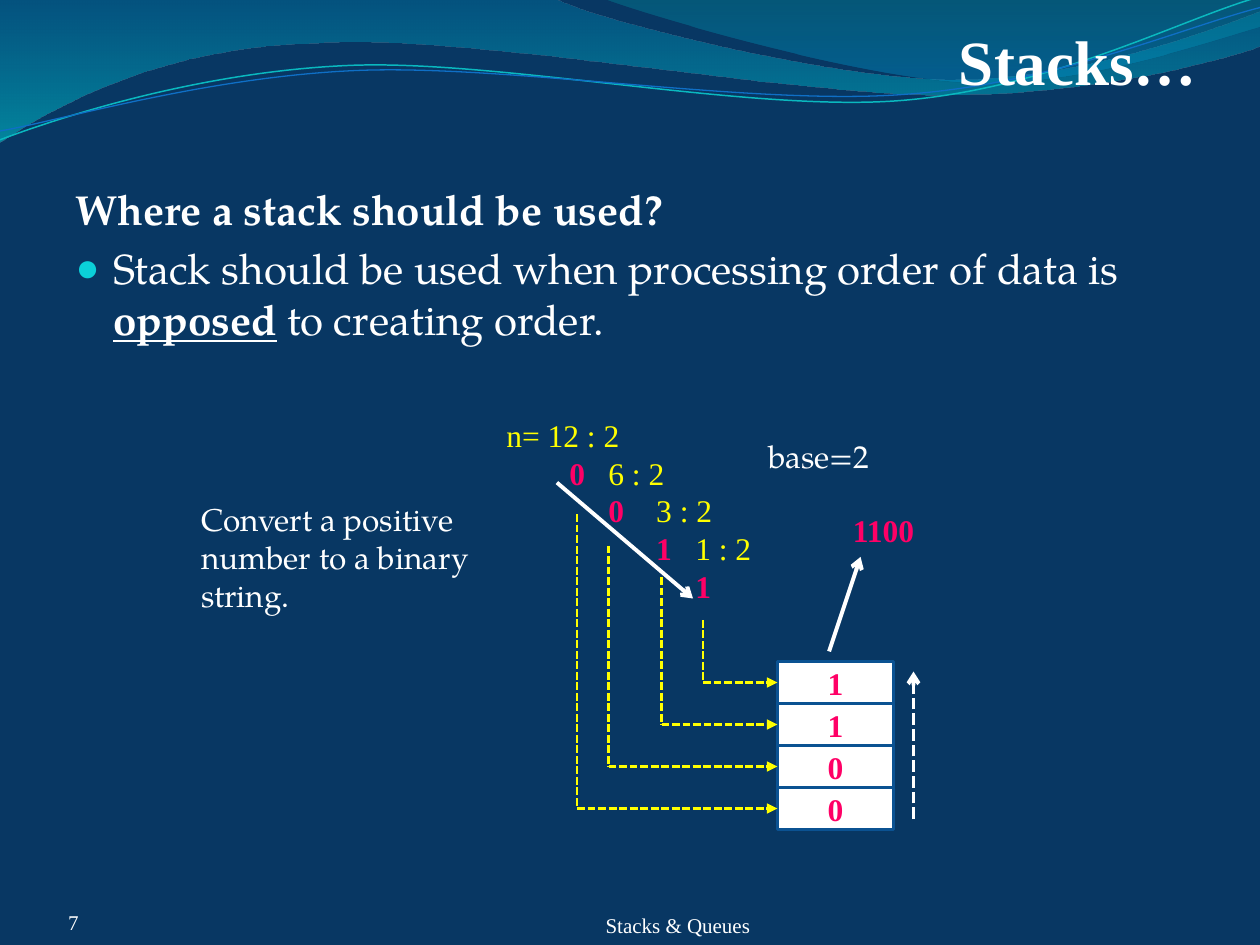
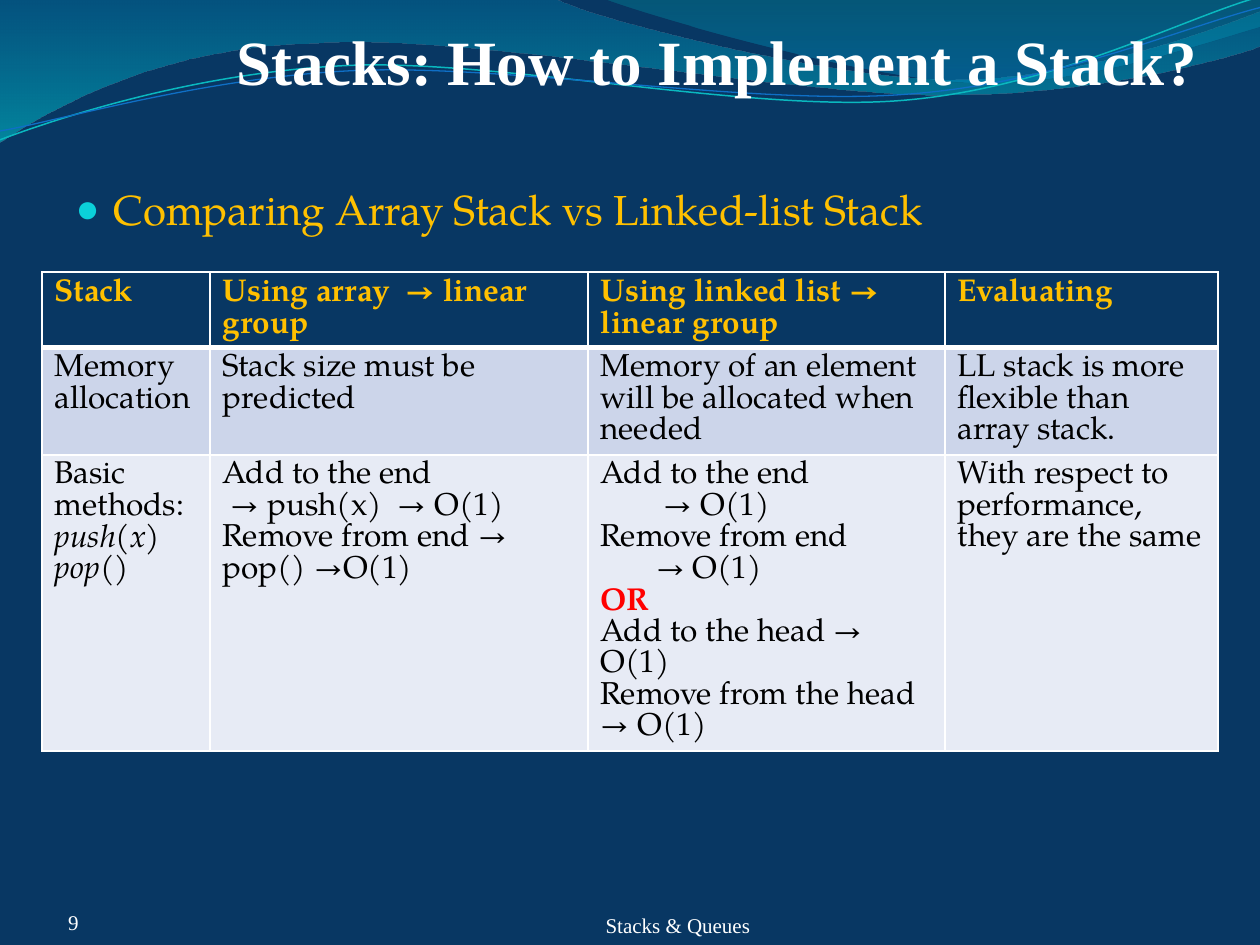
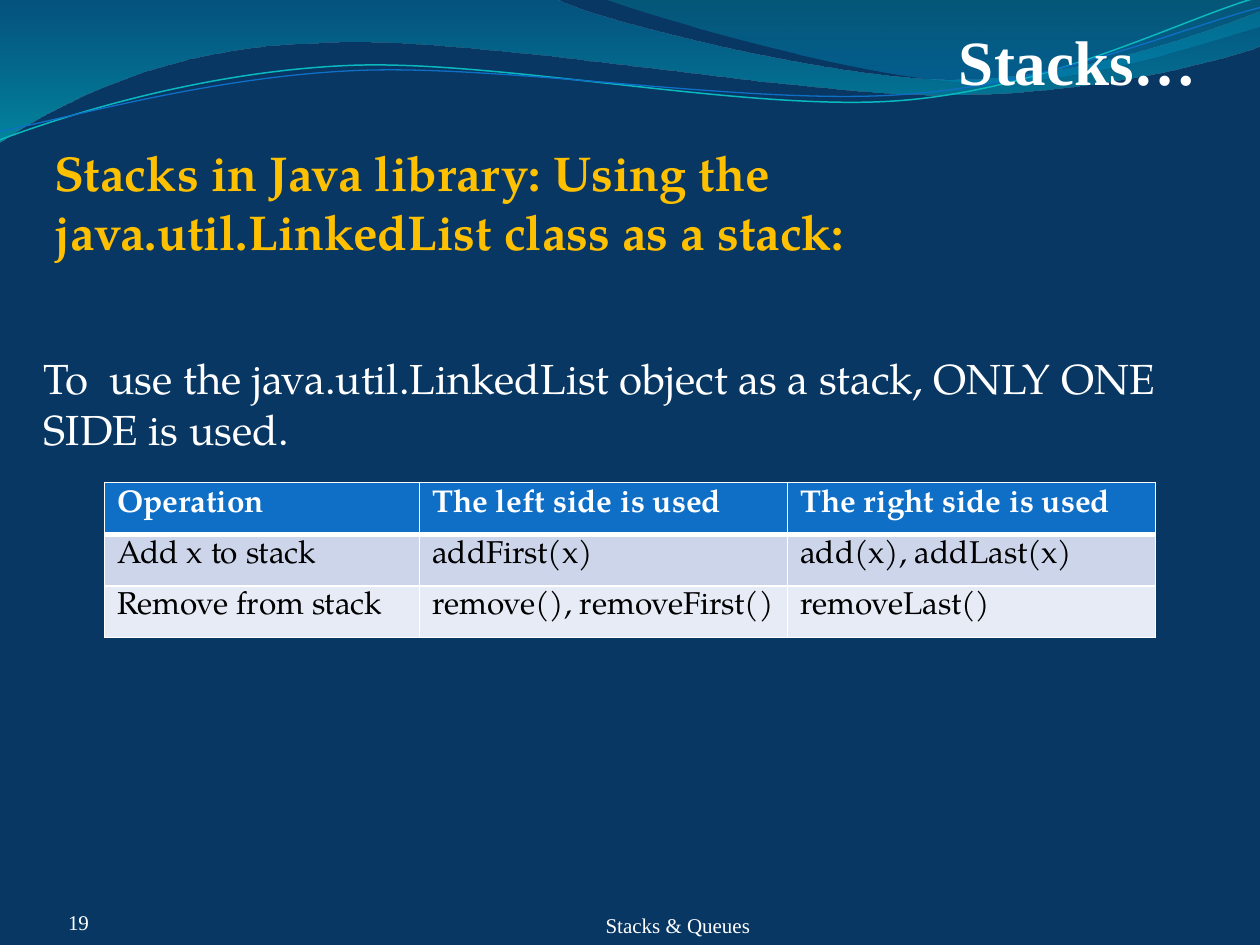
from dataclasses import dataclass, replace
from lxml.etree import SubElement
from pptx import Presentation
from pptx.dml.color import RGBColor
from pptx.enum.dml import MSO_LINE
from pptx.enum.shapes import MSO_CONNECTOR, MSO_SHAPE
from pptx.enum.text import MSO_ANCHOR, MSO_AUTO_SIZE, PP_ALIGN
from pptx.oxml.ns import qn
from pptx.util import Inches, Pt

SERIF, BOOK = "Times New Roman", "TeX Gyre Pagella"


@dataclass(frozen=True)
class Style:
    size: float
    color: str = "FFFFFF"
    font: str = BOOK
    bold: bool = False
    italic: bool = False
    under: bool = False


@dataclass(frozen=True)
class Theme:
    back: str = "083763"
    white: str = "FFFFFF"
    yellow: str = "FFFF00"
    bullet: str = "0BD0D9"
    edge: str = "0B5292"
    blue: str = "0F6FC6"
    bands: tuple = ("CCD5EA", "E7EBF5")
    title: Style = Style(36, font=SERIF, bold=True)
    foot: Style = Style(12, font=SERIF)
    body: Style = Style(24)
    gold: Style = Style(24, "FFC000")
    lead: Style = Style(28, "FFC000", bold=True)
    note: Style = Style(18)
    sums: Style = Style(18, "FFFF00", SERIF)
    digit: Style = Style(18, "FF0066", SERIF, bold=True)
    cell: Style = Style(18, "000000")
    head: Style = Style(18, "FFFFFF", bold=True)


T = Theme()

# Each wave: start point, then curves (three points) and lines (one point).
BANDS = [
    ((0, 0), [
        [(4.4, -0.01)],
        [(4.76, 0.17), (6.64, 0.63), (7.58, 0.63)],
        [(8.53, 0.63), (9.58, 0.26), (10, 0.09)],
        [(10.01, 0.36)],
        [(9.83, 0.44), (8.7, 0.76), (7.46, 0.75)],
        [(6.22, 0.75), (3.82, 0.28), (2.57, 0.34)],
        [(1.29, 0.36), (0.46, 0.83), (-0.01, 1.13)]],
     [(0, "0074A1", 45), (1, "00C6CF", 55)]),
    ((4.79, -0.01), [
        [(5.09, 0.11), (6.82, 0.62), (7.69, 0.65)],
        [(8.56, 0.69), (9.61, 0.32), (10, 0.21)],
        [(10, 0)]],
     [(0, "00A1A9", 30), (0.8, "008BBF", 45)]),
]
CURVES = [
    ((0, 1.11), [
        [(0.48, 0.93), (1.58, 0.57), (2.77, 0.52)],
        [(3.95, 0.47), (5.93, 0.89), (7.13, 0.8)],
        [(8.33, 0.71), (9.38, 0.15), (9.98, -0.02)]], "0AB8BF", 0.85),
    ((0, 1.04), [
        [(0.47, 0.96), (1.64, 0.61), (2.83, 0.56)],
        [(4.03, 0.51), (5.97, 0.84), (7.17, 0.75)],
        [(8.36, 0.67), (9.41, 0.21), (10, 0.06)]], "0F6FC6", 0.75),
]


def rgb(code):
    return RGBColor.from_string(code)


def inch(*sizes):
    return [Inches(size) for size in sizes]


def write(frame, lines, style, align=PP_ALIGN.LEFT):
    """Fill a frame; a line is a string or a list of (text, style) pairs."""
    frame.word_wrap = True
    frame.auto_size = MSO_AUTO_SIZE.NONE
    for i, line in enumerate(lines):
        par = frame.paragraphs[0] if i == 0 else frame.add_paragraph()
        par.alignment = align
        for text, look in [(line, style)] if isinstance(line, str) else line:
            run = par.add_run()
            run.text = text
            font = run.font
            font.name, font.size = look.font, Pt(look.size)
            font.bold, font.italic = look.bold, look.italic
            font.underline = look.under
            font.color.rgb = rgb(look.color)


def inset(frame, left=0, top=0):
    frame.margin_left, frame.margin_top = inch(left, top)
    frame.margin_right = frame.margin_bottom = 0
    frame.vertical_anchor = MSO_ANCHOR.BOTTOM


def label(slide, box, lines, style, align=PP_ALIGN.LEFT):
    shape = slide.shapes.add_textbox(*inch(*box))
    write(shape.text_frame, lines, style, align)
    return shape.text_frame


def place(shape, box):
    shape.left, shape.top, shape.width, shape.height = inch(*box)


def indent(par, left, first=0):
    props = par._p.get_or_add_pPr()
    props.set("marL", str(Inches(left)))
    props.set("indent", str(Inches(first)))
    return props


def bullet(par, shown=True):
    props = indent(par, 0.3, -0.3)
    if not shown:
        SubElement(props, qn("a:buNone"))
        return
    SubElement(SubElement(props, qn("a:buClr")), qn("a:srgbClr"), val=T.bullet)
    SubElement(props, qn("a:buSzPct"), val="95000")
    SubElement(props, qn("a:buChar"), char="●")


def outline(slide, start, parts, close):
    """Draw a freeform whose three-point parts are cubic curves."""
    pen = slide.shapes.build_freeform(*inch(*start))
    pen.add_line_segments([inch(*p) for part in parts for p in part],
                          close=close)
    shape = pen.convert_to_shape()
    shape.shadow.inherit = False
    legs = iter(list(shape.element.iter(qn("a:lnTo"))))
    for part in parts:
        group = [next(legs) for _ in part]
        if len(group) == 3:
            curve = SubElement(group[0].getparent(), qn("a:cubicBezTo"))
            group[0].addprevious(curve)
            for leg in group:
                curve.append(leg[0])
                leg.getparent().remove(leg)
    return shape


def waves(slide):
    shapes = []
    for start, parts, stops in BANDS:
        shape = outline(slide, start, parts, True)
        shape.line.fill.background()
        shape.fill.gradient()
        shape.fill.gradient_angle = 270
        for stop, (pos, color, _) in zip(shape.fill.gradient_stops, stops):
            stop.position = pos
            stop.color.rgb = rgb(color)
        tints = shape.element.spPr.iter(qn("a:srgbClr"))
        for tint, (_, _, alpha) in zip(list(tints), stops):
            SubElement(tint, qn("a:alpha"), val=str(alpha * 1000))
        shapes.append(shape)
    for start, parts, color, width in CURVES:
        shape = outline(slide, start, parts, False)
        shape.fill.background()
        shape.line.color.rgb = rgb(color)
        shape.line.width = Pt(width)
        shapes.append(shape)
    return shapes


def dress(master, slide):
    """Give the master its background and the waves shared by all slides."""
    master.background.fill.solid()
    master.background.fill.fore_color.rgb = rgb(T.back)
    for i, shape in enumerate(waves(slide)):
        master.shapes.element.insert(2 + i, shape.element)


def start(deck, layout, title, number):
    slide = deck.slides.add_slide(deck.slide_layouts[layout])
    head = slide.shapes.title
    place(head, (0.5, 0.08, 9, 0.7))
    write(head.text_frame, [title], T.title, PP_ALIGN.RIGHT)
    inset(head.text_frame, top=0.05)
    inset(label(slide, (0.5, 7.17, 1, 0.25), [str(number)], T.foot), left=0.04)
    inset(label(slide, (2.92, 7.17, 4.92, 0.27), ["Stacks & Queues"],
                T.foot, PP_ALIGN.CENTER))
    return slide


def points(slide, box, lines, style, plain=0):
    """Fill the body; the first `plain` lines carry no bullet."""
    body = slide.placeholders[1]
    place(body, box)
    write(body.text_frame, lines, style)
    for i, par in enumerate(body.text_frame.paragraphs):
        bullet(par, i >= plain)


def wire(slide, tail, tip, color, width, arrow=None, dash=False):
    line = slide.shapes.add_connector(MSO_CONNECTOR.STRAIGHT,
                                      *inch(*tail, *tip))
    line.line.color.rgb = rgb(color)
    line.line.width = Pt(width)
    if dash:
        line.line.dash_style = MSO_LINE.SQUARE_DOT
    props = line.element.spPr
    if arrow:
        SubElement(props.find(qn("a:ln")), qn("a:tailEnd"), type=arrow)
    SubElement(props, qn("a:effectLst"))
    return line


def pile(slide, box, digits):
    left, top, width, height = box
    row = height / len(digits)
    cells = []
    for i, digit in enumerate(digits):
        cell = slide.shapes.add_shape(
            MSO_SHAPE.RECTANGLE, *inch(left, top + i * row, width, row))
        cell.shadow.inherit = False
        cell.fill.solid()
        cell.fill.fore_color.rgb = rgb(T.white)
        cell.line.color.rgb = rgb(T.edge)
        cell.line.width = Pt(2)
        write(cell.text_frame, [digit], T.digit, PP_ALIGN.CENTER)
        cell.text_frame.vertical_anchor = MSO_ANCHOR.MIDDLE
        cells.append(cell)
    return cells


def division(slide, box):
    """Write the steps of the division, each moved one tab stop along."""
    steps = [("0", "6 : 2"), ("0", "3 : 2"), ("1", "1 : 2"), ("1", "")]
    lines = ["n= 12 : 2"]
    for i, (rest, sum_) in enumerate(steps, 1):
        line = [("\t" * i + rest, T.digit)]
        lines.append(line + [("\t" + sum_, T.sums)] if sum_ else line)
    frame = label(slide, box, lines, T.sums)
    for par in frame.paragraphs:
        tabs = SubElement(par._p.get_or_add_pPr(), qn("a:tabLst"))
        for stop in (0.5, 0.81, 1.19, 1.5):
            SubElement(tabs, qn("a:tab"), pos=str(Inches(stop)), algn="l")


def diagram(slide, left, top):
    def at(x, y, *size):
        return (left + x, top + y, *size)

    label(slide, at(0, 0.67, 2.33, 1.01),
          ["Convert a positive number to a binary string."], T.note)
    division(slide, at(2.42, 0, 2.5, 1.62))
    label(slide, at(4.5, 0.17, 1.17, 0.4), ["base=2"], T.note)
    label(slide, at(5.17, 0.76, 0.83, 0.4), ["1100"], T.digit)

    row = 1 / 3
    cells = pile(slide, at(4.67, 2, 0.92, 4 * row), "1100")
    drops = [(4.08, 1.67), (3.75, 1.33), (3.33, 1.08), (3.08, 0.83)]
    for i, (cell, (x, y)) in enumerate(zip(cells, drops)):
        mid = 2 + (i + 0.5) * row
        wire(slide, at(x, y), at(x, mid), T.yellow, 1.5, dash=True)
        push = wire(slide, at(x, mid), at(4.67, mid), T.yellow, 1.5,
                    "triangle", True)
        push.end_connect(cell, 1)

    wire(slide, at(2.92, 0.58), at(4, 1.5), T.white, 2.25, "arrow")
    wire(slide, at(5.08, 1.92), at(5.33, 1.17), T.white, 2.25, "arrow")
    wire(slide, at(5.75, 3.25), at(5.75, 2.08), T.white, 2.25, "arrow", True)


def border(cell, low):
    props = cell._tc.get_or_add_tcPr()
    for side, width in (("L", 1), ("R", 1), ("T", 1), ("B", low)):
        line = SubElement(props, qn("a:ln" + side), w=str(Pt(width)))
        SubElement(SubElement(line, qn("a:solidFill")), qn("a:srgbClr"),
                   val=T.white)


def grid(slide, left, top, cols, rows, data, head, fill):
    """Draw a table; each cell of data is a list of lines."""
    table = slide.shapes.add_table(
        len(rows), len(cols), *inch(left, top, sum(cols), sum(rows))).table
    for col, width in zip(table.columns, cols):
        col.width = Inches(width)
    for r, (height, line) in enumerate(zip(rows, data)):
        table.rows[r].height = Inches(height)
        for c, lines in enumerate(line):
            cell = table.cell(r, c)
            border(cell, 1 if r else 3)
            cell.fill.solid()
            shade = T.bands[(r - 1) % 2] if r else fill
            cell.fill.fore_color.rgb = rgb(shade)
            write(cell.text_frame, lines, T.cell if r else head)
            for par in cell.text_frame.paragraphs:
                par.line_spacing = Pt(18)
    return table


def usage(deck):
    slide = start(deck, 1, "Stacks…", 7)
    dress(deck.slide_master, slide)
    strong = replace(T.body, bold=True)
    points(slide, (0.5, 1.41, 9, 1.67), [
        [("Where a stack should be used?", strong)],
        [("Stack should be used when processing order of data is ", T.body),
         ("opposed", replace(strong, under=True)),
         (" to creating order.", T.body)]], T.body, plain=1)
    diagram(slide, 1.5, 3.25)


def compare(deck):
    slide = start(deck, 1, "Stacks: How to Implement a Stack?", 9)
    points(slide, (0.5, 1.41, 9, 0.58),
           ["Comparing Array Stack vs Linked-list Stack"], T.gold)
    slant = replace(T.cell, italic=True)
    alert = replace(T.cell, color="FF0000", bold=True)
    data = [
        [["Stack"], ["Using array  → linear group"],
         ["Using linked list → linear group"], ["Evaluating"]],
        [["Memory", "allocation"], ["Stack size must be predicted"],
         ["Memory of an element will be allocated when needed"],
         ["LL stack is more flexible than array stack."]],
        [["Basic methods:", [("push(x)", slant)], [("pop()", slant)]],
         ["Add to the end", " → push(x)  → O(1)",
          "Remove from end → pop() →O(1)"],
         ["Add to the end", "→ O(1)", "Remove from end", "→ O(1)",
          [("OR", alert)], "Add to the head → O(1)",
          "Remove from the head → O(1)"],
         ["With respect to performance, they are the same"]],
    ]
    table = grid(slide, 1 / 3, 2.16, (4 / 3, 3, 17 / 6, 13 / 6),
                 (0.6, 0.85, 2.35), data,
                 replace(T.head, color=T.gold.color), T.back)
    costs = table.cell(2, 2).text_frame.paragraphs
    indent(costs[1], 0.5)
    indent(costs[3], 0.44)


def library(deck):
    slide = start(deck, 5, "Stacks…", 19)
    label(slide, (1 / 3, 1.08, 9.42, 1.04),
          ["Stacks in Java library: Using the java.util.LinkedList "
           "class as a stack:"], T.lead)
    label(slide, (0.25, 2.75, 9.75, 0.91),
          ["To  use the java.util.LinkedList object as a stack, "
           "ONLY ONE SIDE is used."], T.body)
    data = [
        [["Operation"], ["The left side is used"], ["The right side is used"]],
        [["Add x to stack"], ["addFirst(x)"], ["add(x), addLast(x)"]],
        [["Remove from stack"], ["remove(), removeFirst()"], ["removeLast()"]],
    ]
    grid(slide, 0.83, 3.83, (2.5, 2.92, 2.92), (0.41,) * 3,
         data, T.head, T.blue)


def main():
    deck = Presentation()
    deck.slide_width, deck.slide_height = inch(10, 7.5)
    usage(deck)
    compare(deck)
    library(deck)
    deck.save("out.pptx")


if __name__ == "__main__":
    main()
